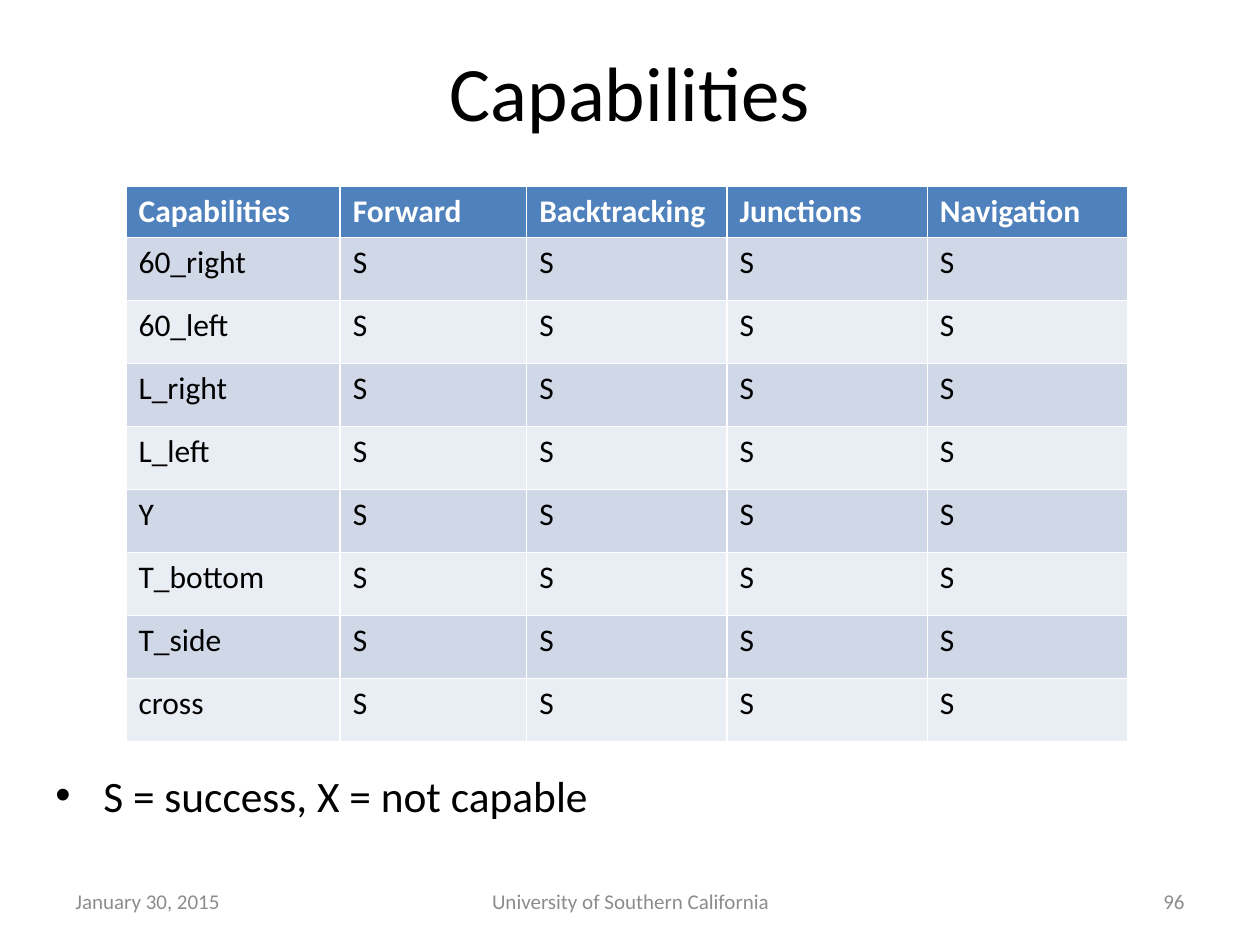
from pptx import Presentation
from pptx.dml.color import RGBColor
from pptx.enum.text import MSO_ANCHOR, MSO_AUTO_SIZE, PP_ALIGN
from pptx.util import Inches, Pt

LEFT, MID, RIGHT = PP_ALIGN.LEFT, PP_ALIGN.CENTER, PP_ALIGN.RIGHT
TOP, CENTER = MSO_ANCHOR.TOP, MSO_ANCHOR.MIDDLE
FIXED = MSO_AUTO_SIZE.NONE

# Content
TITLE = "Capabilities"
NOTE = "S = success, X = not capable"
HEADS = ["Capabilities", "Forward", "Backtracking", "Junctions", "Navigation"]
TESTS = ["60_right", "60_left", "L_right", "L_left", "Y", "T_bottom", "T_side", "cross"]
ROWS = [HEADS] + [[test] + ["S"] * 4 for test in TESTS]
FOOTER = [
    ("January 30, 2015", 0.5, 2.33, LEFT),
    ("University of Southern California", 3.42, 3.17, MID),
    ("96", 7.17, 2.33, RIGHT),
]

# Format
COLORS = {"text": "000000", "white": "FFFFFF", "gray": "8C8C8C",
          "head": "4F81BD", "dark": "D0D8E8", "light": "E9EDF4"}
WIDTHS = [1.7, 1.48, 1.59, 1.59, 1.59]
HEAD_H, ROW_H = 0.39, 0.5


def rgb(key):
    return RGBColor.from_string(COLORS[key])


def write(frame, text, size, color="text", align=LEFT, bold=False):
    frame.text = text
    para = frame.paragraphs[0]
    para.alignment = align
    para.space_before = Pt(0)
    style = {"name": "Calibri", "size": Pt(size), "bold": bold}
    for name, value in style.items():
        setattr(para.font, name, value)
    para.font.color.rgb = rgb(color)
    return para


def place(shape, left, top, width, height, anchor=TOP):
    box = {"left": left, "top": top, "width": width, "height": height}
    for name, value in box.items():
        setattr(shape, name, Inches(value))
    frame = shape.text_frame
    form = {"word_wrap": True, "auto_size": FIXED, "vertical_anchor": anchor}
    for name, value in form.items():
        setattr(frame, name, value)
    return frame


prs = Presentation()
prs.slide_width, prs.slide_height = Inches(10), Inches(7.5)
slide = prs.slides.add_slide(prs.slide_layouts[1])
shapes = slide.shapes

# Title
write(place(shapes.title, 0.5, 0.3, 9, 1.25), TITLE, 44, align=MID)

# Legend with a hanging bullet
note = write(place(slide.placeholders[1], 0.34, 6.05, 4.46, 0.64), NOTE, 24.8)
props = note._p.get_or_add_pPr()
for name, value in {"marL": 0.38, "indent": -0.38}.items():
    props.set(name, str(Inches(value)))

# Results table
height = HEAD_H + ROW_H * len(TESTS)
grid = shapes.add_table(len(ROWS), len(HEADS), Inches(1), Inches(1.48),
                        Inches(sum(WIDTHS)), Inches(height)).table
for col, width in zip(grid.columns, WIDTHS):
    col.width = Inches(width)
for i, row in enumerate(ROWS):
    head = i == 0
    grid.rows[i].height = Inches(HEAD_H if head else ROW_H)
    fill = "head" if head else ("light", "dark")[i % 2]
    for j, text in enumerate(row):
        cell = grid.cell(i, j)
        cell.fill.solid()
        cell.fill.fore_color.rgb = rgb(fill)
        write(cell.text_frame, text, 18, "white" if head else "text", bold=head)

# Footer
for text, left, width, align in FOOTER:
    box = shapes.add_textbox(0, 0, 0, 0)
    write(place(box, left, 6.95, width, 0.4, CENTER), text, 12, "gray", align)

prs.save("out.pptx")
